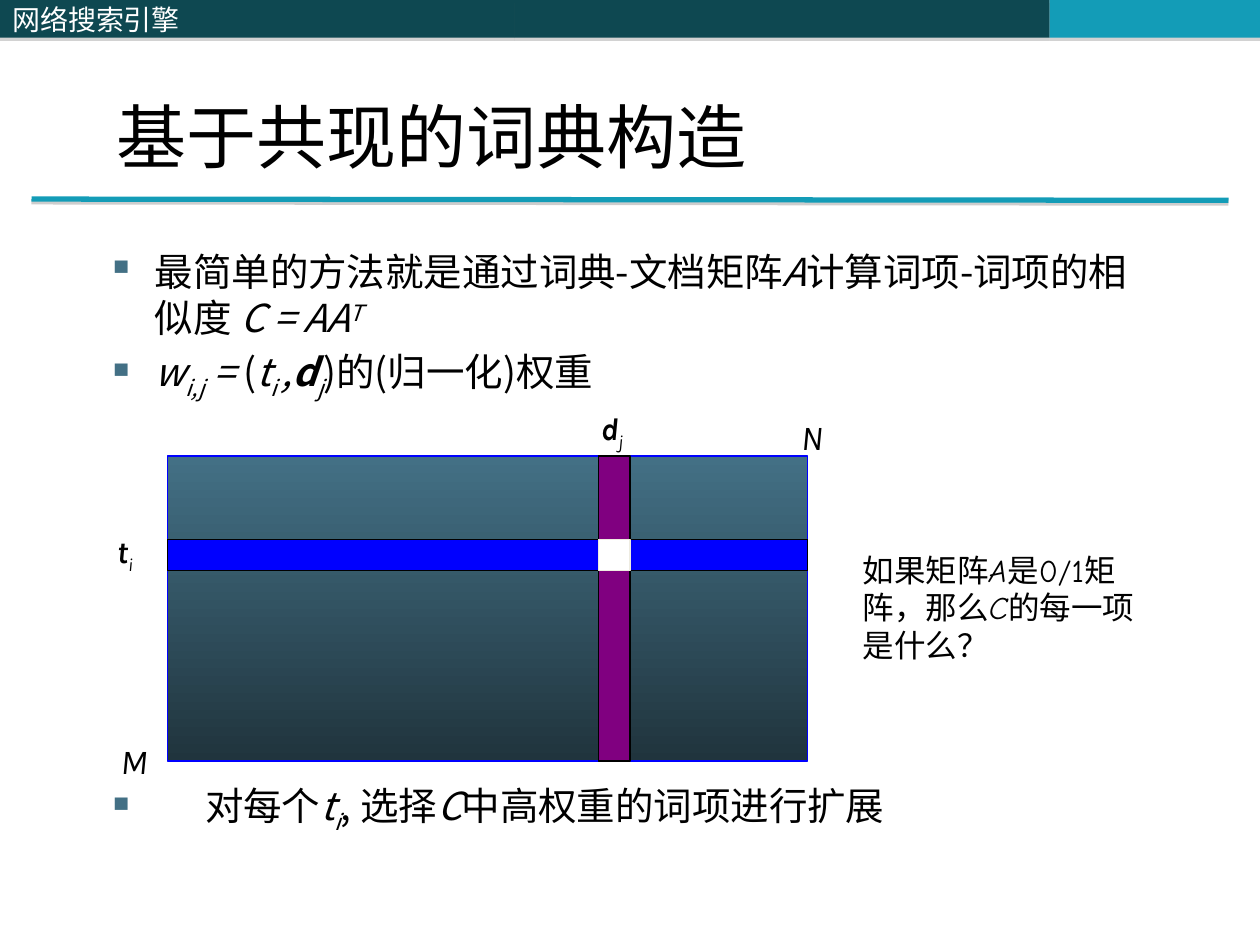
from lxml.etree import SubElement
from pptx import Presentation
from pptx.dml.color import RGBColor
from pptx.enum.shapes import MSO_CONNECTOR as Connector, MSO_SHAPE as Shape
from pptx.enum.text import MSO_ANCHOR as Anchor
from pptx.oxml.ns import qn
from pptx.util import Inches, Pt

COLORS = {
    "dark": "0E4851", "teal": "139CB7", "bullet": "437085", "shadow": "808080",
    "top": "437085", "bottom": "20343D", "blue": "0000FF", "purple": "800080",
    "cream": "EEECE1", "white": "FFFFFF", "black": "000000",
}
RGB = {name: RGBColor.from_string(value) for name, value in COLORS.items()}
CJK = "Noto Sans CJK SC"
LATIN = "Karla"

presentation = Presentation()
presentation.slide_width, presentation.slide_height = Inches(10), Inches(7.5)
slide = presentation.slides.add_slide(presentation.slide_layouts[6])


def add_text(paragraphs, box=None, frame=None, size=18, font=CJK, color="black",
             anchor=Anchor.TOP, hanging=0, before=0, spacing=None):
    """Each paragraph is a list of (text, style, baseline); style holds b and i."""
    if frame is None:
        frame = slide.shapes.add_textbox(*map(Inches, box)).text_frame
    frame.word_wrap = True
    frame.vertical_anchor = anchor
    for index, runs in enumerate(paragraphs):
        paragraph = frame.add_paragraph() if index else frame.paragraphs[0]
        paragraph.space_before = Pt(before)
        if spacing:
            paragraph.line_spacing = spacing
        properties = paragraph._p.get_or_add_pPr()
        properties.set("algn", "l")
        if hanging:
            properties.set("marL", str(Inches(hanging)))
            properties.set("indent", str(-Inches(hanging)))
            bullet_color = SubElement(properties, qn("a:buClr"))
            SubElement(bullet_color, qn("a:srgbClr"), val=COLORS["bullet"])
            SubElement(properties, qn("a:buChar"), char="▪")
        for text, style, baseline in runs:
            run = paragraph.add_run()
            run.text = text
            run.font.size, run.font.name = Pt(size), font
            run.font.color.rgb = RGB[color]
            run.font.bold, run.font.italic = "b" in style, "i" in style
            if baseline:
                run._r.get_or_add_rPr().set("baseline", str(baseline * 1000))


def add_shadow(shape, alpha, distance):
    effects = SubElement(shape._element.spPr, qn("a:effectLst"))
    shadow = SubElement(effects, qn("a:outerShdw"), dist=str(Pt(distance)), dir="5400000")
    shadow_color = SubElement(shadow, qn("a:srgbClr"), val=COLORS["shadow"])
    SubElement(shadow_color, qn("a:alpha"), val=str(alpha * 1000))


# Header band
for left, width, fill, label in [(4.08, 4.25, "dark", ""), (8.33, 1.67, "teal", ""),
                                 (0, 4.08, "dark", "网络搜索引擎")]:
    band = slide.shapes.add_shape(Shape.RECTANGLE, Inches(left), 0, Inches(width), Inches(0.3))
    band.fill.solid()
    band.fill.fore_color.rgb = RGB[fill]
    band.line.fill.background()
    add_shadow(band, 35, 1.8)
    if label:
        add_text([[(label, "", 0)]], frame=band.text_frame, size=16, color="white",
                 anchor=Anchor.MIDDLE)

# Title and rule
rule = slide.shapes.add_connector(Connector.STRAIGHT, Inches(0.25), Inches(1.58),
                                  Inches(9.75), Inches(1.59))
rule.line.color.rgb = RGB["teal"]
rule.line.width = Pt(3)
add_shadow(rule, 38, 1.6)
add_text([[("基于共现的词典构造", "", 0)]], box=(0.83, 0.62, 7.51, 0.84), size=40,
         anchor=Anchor.BOTTOM)

# Bullets above and below the matrix
add_text([
    [("最简单的方法就是通过词典-文档矩阵", "", 0), ("A", "i", 0),
     ("计算词项-词项的相似度 ", "", 0), ("C = AA", "i", 0), ("T", "i", 30)],
    [("w", "i", 0), ("i,j", "i", -25), (" = ", "i", 0), ("(", "", 0), ("t", "i", 0),
     ("i ", "i", -25), (",", "i", 0), ("d", "bi", 0), ("j", "i", -25),
     (")的(归一化)权重", "", 0)],
], box=(0.75, 1.92, 8.5, 1.4), size=22, hanging=0.38, before=4.4)
add_text([[("对每个", "", 0), ("t", "i", 0), ("i", "i", -25), (", 选择", "", 0),
           ("C", "i", 0), ("中高权重的词项进行扩展", "", 0)]],
         box=(0.75, 6.16, 8.5, 0.5), size=22, hanging=0.78)

# Matrix with one row, one column and their crossing cell
left, top, width, height = 1.33, 3.62, 5.08, 2.42
column_left, row_top, band_size = 4.75, 4.28, 0.25
for box, fill, line in [
    ((left, top, width, height), None, "blue"),
    ((left, row_top, width, band_size), "blue", "black"),
    ((column_left, top, band_size, height), "purple", "black"),
    ((column_left, row_top, band_size, band_size), "white", "cream"),
]:
    cell = slide.shapes.add_shape(Shape.RECTANGLE, *map(Inches, box))
    cell.shadow.inherit = False
    if fill:
        cell.fill.solid()
        cell.fill.fore_color.rgb = RGB[fill]
    else:
        cell.fill.gradient()
        cell.fill.gradient_angle = 270
        for stop, name in zip(cell.fill.gradient_stops, ("top", "bottom")):
            stop.color.rgb = RGB[name]
    cell.line.color.rgb = RGB[line]
    cell.line.width = Pt(0.75)

# Matrix labels
for runs, x, y, size in [
    ([("t", "bi", 0), ("i", "i", -25)], 0.83, 4.17, 18),
    ([("d", "bi", 0), ("j", "i", -25)], 4.67, 3.2, 18),
    ([("N", "i", 0)], 6.26, 3.25, 20),
    ([("M", "i", 0)], 0.86, 5.82, 20),
]:
    add_text([runs], box=(x, y, 0.75, 0.45), size=size, font=LATIN)

# Question beside the matrix
add_text([[("如果矩阵", "", 0), ("A", "i", 0), ("是0/1矩阵，那么", "", 0), ("C", "i", 0),
           ("的每一项是什么？", "", 0)]], box=(6.75, 4.32, 2.42, 1.01), font="Comic Neue")

presentation.save("out.pptx")
